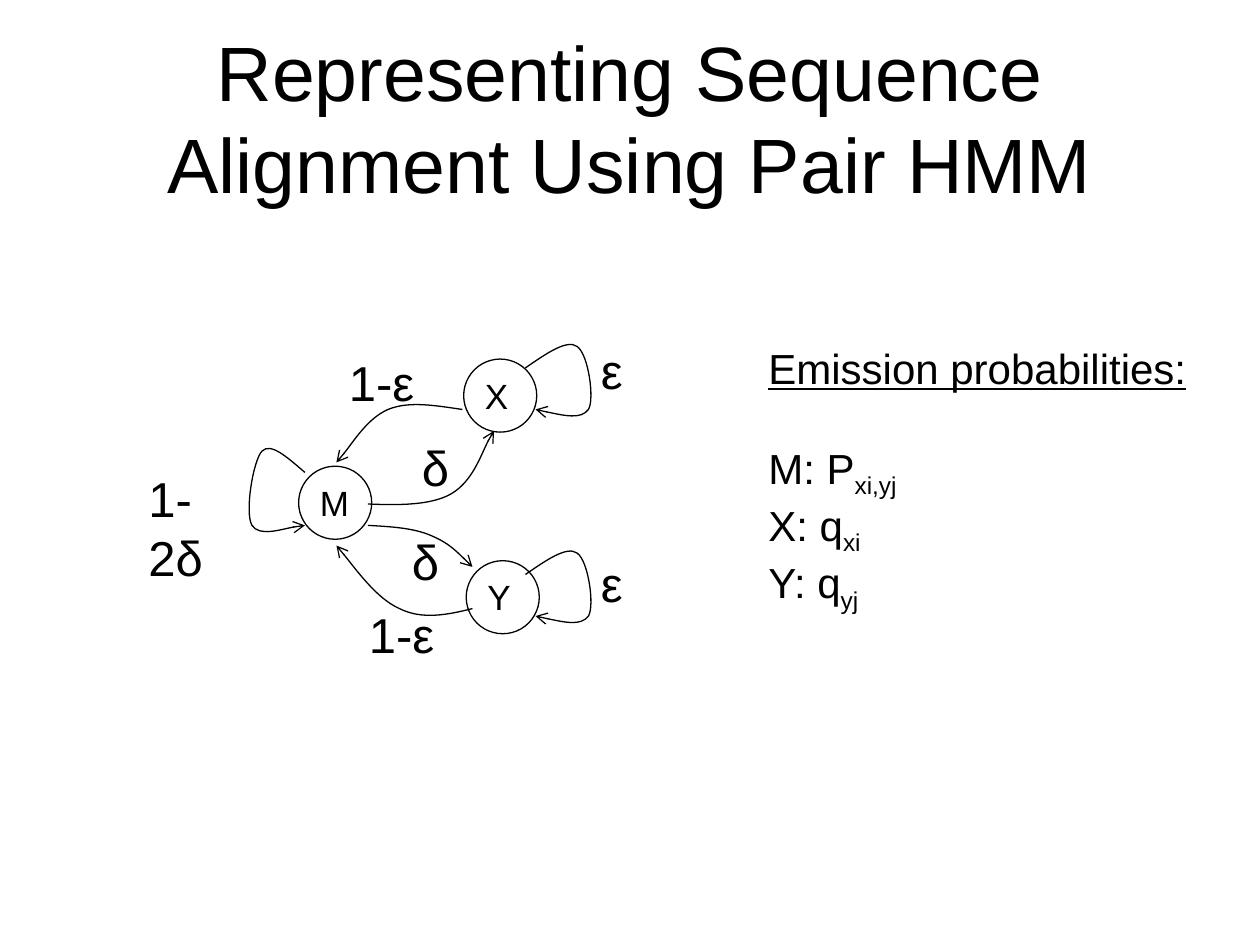
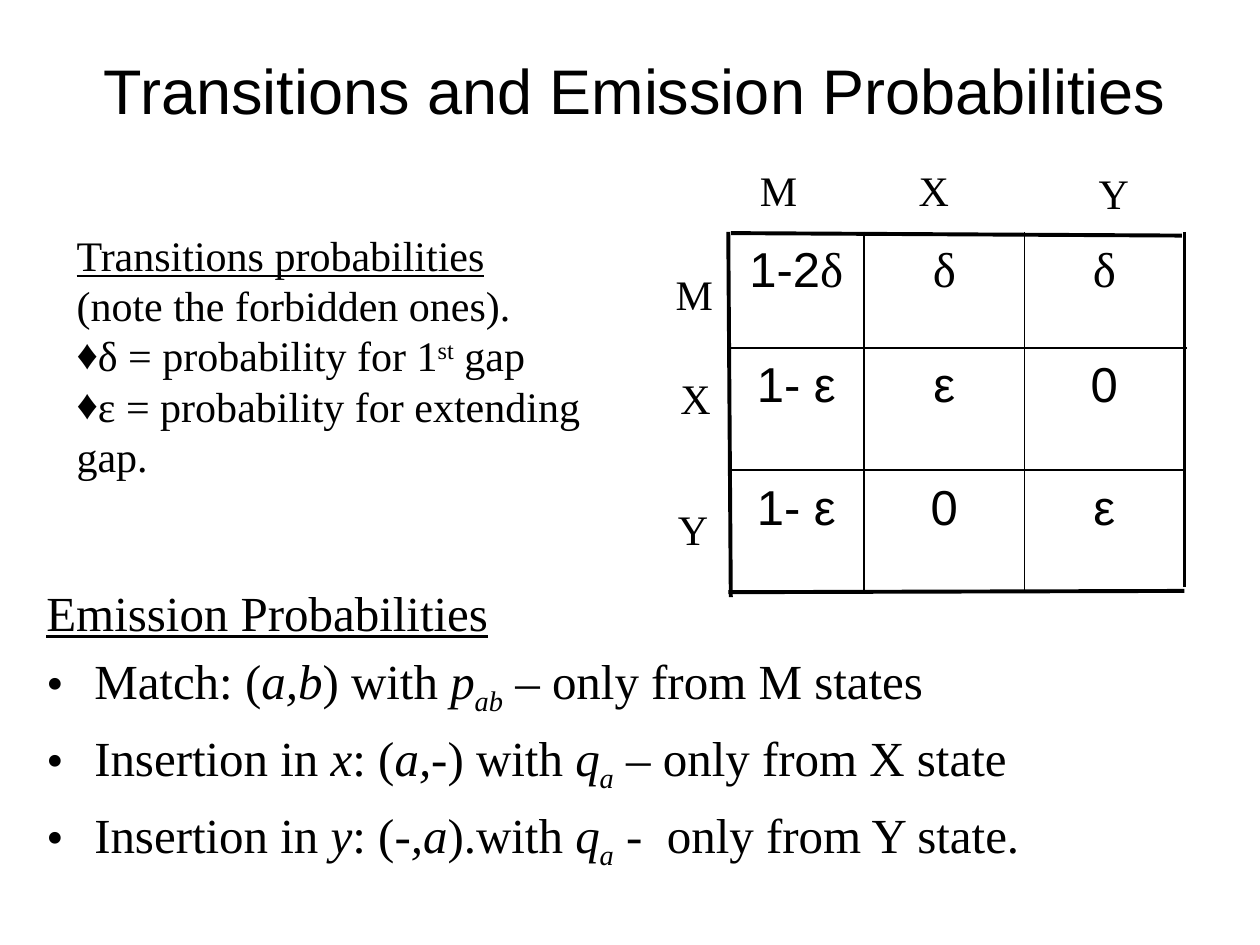
from dataclasses import dataclass
from typing import NamedTuple

from lxml.etree import SubElement
from pptx import Presentation
from pptx.dml.color import RGBColor
from pptx.enum.shapes import MSO_CONNECTOR, MSO_SHAPE
from pptx.enum.text import MSO_ANCHOR, MSO_AUTO_SIZE, PP_ALIGN
from pptx.oxml import parse_xml
from pptx.oxml.ns import nsdecls, qn
from pptx.util import Inches, Pt


@dataclass(frozen=True)
class Theme:
    ink: RGBColor = RGBColor(0, 0, 0)
    sans: str = "Arial"
    serif: str = "Times New Roman"
    title: int = 44
    small_title: int = 36
    large: int = 28
    medium: int = 24
    state: int = 20
    gap: float = 5.6
    thin: float = 0.75
    inner: float = 1
    side: float = 2
    outer: float = 2.25


THEME = Theme()


class Place(NamedTuple):
    left: float
    top: float
    width: float
    height: float


class Span(NamedTuple):
    text: str
    italic: bool = False
    baseline: int = 0
    font: str = ""


class Para(NamedTuple):
    spans: list[Span]
    underline: bool = False
    bullet: str = ""
    hanging: float = 0
    before: float = 0


class State(NamedTuple):
    name: str
    left: float
    top: float
    name_width: float


class Label(NamedTuple):
    text: str
    place: Place
    wrap: bool = False


class Rule(NamedTuple):
    start: tuple[float, float]
    end: tuple[float, float]
    width: float


Points = list[tuple[float, float]]


# Text
def write_para(paragraph, para: Para, size: int, font: str, align=PP_ALIGN.LEFT) -> None:
    paragraph.alignment = align
    paragraph.space_before = Pt(para.before)
    face = paragraph.font
    face.size, face.name, face.color.rgb = Pt(size), font, THEME.ink
    face.underline = para.underline
    for span in para.spans:
        run = paragraph.add_run()
        run.text = span.text
        if span.italic:
            run.font.italic = True
        if span.font:
            run.font.name = span.font
        if span.baseline:
            run.font._element.set("baseline", str(span.baseline * 1000))
    properties = paragraph._p.get_or_add_pPr()
    indent = Inches(para.hanging)
    properties.set("marL", str(indent))
    properties.set("indent", str(-indent))
    if para.bullet:
        defaults = properties.find(qn("a:defRPr"))
        for mark in (f'buFont {nsdecls("a")} typeface="{font}"',
                     f'buChar {nsdecls("a")} char="{para.bullet}"'):
            defaults.addprevious(parse_xml(f"<a:{mark}/>"))


def add_text(page, place: Place, paras: list[Para], size: int, font: str,
             align=PP_ALIGN.LEFT, wrap: bool = True, anchor=MSO_ANCHOR.TOP) -> None:
    box = page.shapes.add_textbox(*map(Inches, place))
    frame = box.text_frame
    frame.word_wrap = wrap
    frame.auto_size = MSO_AUTO_SIZE.NONE if wrap else MSO_AUTO_SIZE.SHAPE_TO_FIT_TEXT
    frame.vertical_anchor = anchor
    for index, para in enumerate(paras):
        paragraph = frame.add_paragraph() if index else frame.paragraphs[0]
        write_para(paragraph, para, size, font, align)


def add_title(page, place: Place, text: str, size: int) -> None:
    add_text(page, place, [Para([Span(text)])], size, THEME.sans,
             PP_ALIGN.CENTER, anchor=MSO_ANCHOR.MIDDLE)


# State diagram
def style_outline(shape) -> None:
    shape.shadow.inherit = False
    shape.fill.background()
    shape.line.color.rgb = THEME.ink
    shape.line.width = Pt(THEME.thin)


def add_state(page, state: State) -> None:
    place = Place(state.left, state.top, 0.58, 0.58)
    style_outline(page.shapes.add_shape(MSO_SHAPE.OVAL, *map(Inches, place)))
    name_place = Place(state.left + 0.07, state.top + 0.07, state.name_width, 0.43)
    add_text(page, name_place, [Para([Span(state.name)])], THEME.state, THEME.sans, wrap=False)


def add_curved_arrow(page, points: Points) -> None:
    """Draw cubic curves: a start, then two handles and an end for each curve."""
    start, *rest = [(Inches(x), Inches(y)) for x, y in points]
    builder = page.shapes.build_freeform(*start)
    builder.add_line_segments(rest, close=False)
    arrow = builder.convert_to_shape()
    style_outline(arrow)
    outline = next(arrow.element.iter(qn("a:path")))
    segments = outline.findall(qn("a:lnTo"))
    for first in range(0, len(segments), 3):
        curve = SubElement(outline, qn("a:cubicBezTo"))
        for segment in segments[first:first + 3]:
            curve.append(segment[0])
            outline.remove(segment)
    line = arrow.element.spPr.find(qn("a:ln"))
    SubElement(line, qn("a:tailEnd"), type="arrow")


def shift_down(points: Points, distance: float) -> Points:
    return [(x, y + distance) for x, y in points]


# Transition matrix
def add_rule(page, rule: Rule) -> None:
    line = page.shapes.add_connector(MSO_CONNECTOR.STRAIGHT,
                                     *map(Inches, rule.start + rule.end))
    line.line.color.rgb = THEME.ink
    line.line.width = Pt(rule.width)
    SubElement(line.element.spPr, qn("a:effectLst"))


def add_matrix(page, values: list[list[list[Span]]]) -> None:
    x_edges = [5.78, 6.86, 8.13, 9.4]
    y_edges = [1.84, 2.76, 3.73, 4.7]
    for row, top, bottom in zip(values, y_edges, y_edges[1:]):
        for spans, left, right in zip(row, x_edges, x_edges[1:]):
            add_text(page, Place(left, top, right - left, bottom - top),
                     [Para(spans, before=THEME.gap)], THEME.large, THEME.sans,
                     PP_ALIGN.CENTER)
    for rule in (
        Rule((5.8, 1.85), (9.38, 1.87), THEME.outer),
        Rule((5.78, 2.76), (9.42, 2.76), THEME.inner),
        Rule((5.78, 3.73), (9.4, 3.73), THEME.inner),
        Rule((5.78, 4.7), (9.4, 4.69), THEME.outer),
        Rule((5.78, 1.84), (5.8, 4.74), THEME.outer),
        Rule((6.86, 1.84), (6.86, 4.71), THEME.inner),
        Rule((8.13, 1.84), (8.13, 4.69), THEME.inner),
        Rule((9.4, 1.84), (9.4, 4.66), THEME.side),
    ):
        add_rule(page, rule)


def build_hmm_slide(page) -> None:
    add_title(page, Place(0.5, 0.3, 9, 1.25),
              "Representing Sequence Alignment Using Pair HMM", THEME.title)

    for state in (State("M", 2.37, 3.7, 0.43), State("X", 3.68, 2.85, 0.39),
                  State("Y", 3.7, 4.45, 0.39)):
        add_state(page, state)

    # Transitions
    x_loop = [(4.17, 2.92), (4.33, 2.81), (4.5, 2.69), (4.58, 2.75), (4.67, 2.81),
              (4.72, 3.17), (4.67, 3.25), (4.61, 3.33), (4.43, 3.29), (4.25, 3.25)]
    m_loop = [(2.42, 3.75), (2.28, 3.63), (2.15, 3.51), (2.08, 3.58), (2.01, 3.65),
              (1.94, 4.07), (2, 4.17), (2.06, 4.26), (2.35, 4.17), (2.42, 4.17)]
    m_to_x = [(2.92, 4), (3.17, 4.01), (3.42, 4.01), (3.58, 3.92),
              (3.75, 3.82), (3.86, 3.5), (3.92, 3.42)]
    x_to_m = [(3.67, 3.25), (3.46, 3.22), (3.25, 3.18), (3.08, 3.25),
              (2.92, 3.32), (2.74, 3.6), (2.67, 3.67)]
    m_to_y = [(2.92, 4.17), (3.1, 4.18), (3.28, 4.19), (3.42, 4.25),
              (3.56, 4.31), (3.65, 4.4), (3.75, 4.5)]
    y_to_m = [(3.75, 4.83), (3.55, 4.88), (3.35, 4.92), (3.17, 4.83),
              (2.99, 4.75), (2.75, 4.42), (2.67, 4.33)]
    y_loop = shift_down(x_loop, 1.64)
    for points in (x_loop, y_loop, m_loop, m_to_x, x_to_m, m_to_y, y_to_m):
        add_curved_arrow(page, points)

    # Transition probabilities
    labels = [
        Label("ε", Place(4.67, 2.65, 0.37, 0.57)),
        Label("ε", Place(4.67, 4.34, 0.37, 0.57)),
        Label("δ", Place(3.25, 3.42, 0.39, 0.57)),
        Label("δ", Place(3.17, 4.17, 0.39, 0.57)),
        Label("1-ε", Place(2.67, 2.75, 0.72, 0.57)),
        Label("1-ε", Place(2.83, 4.75, 0.72, 0.57)),
        Label("1-2δ", Place(1.08, 3.67, 0.96, 0.57), wrap=True),
    ]
    for label in labels:
        add_text(page, label.place, [Para([Span(label.text)])], THEME.large, THEME.sans,
                 wrap=label.wrap)

    # Emission probabilities
    emissions = [("M: P", "xi,yj", 28), ("X: q", "xi", 0), ("Y: q", "yj", 0)]
    paras = [Para([Span("Emission probabilities:")], underline=True)]
    paras += [Para([Span(name), Span(index, baseline=-25)], before=gap)
              for name, index, gap in emissions]
    add_text(page, Place(6, 2.67, 3.56, 2.12), paras, THEME.medium, THEME.sans, wrap=False)


def build_probability_slide(page) -> None:
    add_title(page, Place(0.25, 0.08, 9.58, 1.25),
              "Transitions and Emission Probabilities", THEME.small_title)

    # Matrix with its column and row names
    delta = Span("δ", font=THEME.serif)
    epsilon, zero, leave_gap = Span("ε"), Span("0"), Span("1- ε")
    add_matrix(page, [
        [[Span("1-2"), delta], [delta], [delta]],
        [[leave_gap], [epsilon], [zero]],
        [[leave_gap], [zero], [epsilon]],
    ])
    headings = [
        Label("M", Place(5.93, 1.26, 0.5, 0.5)),
        Label("X", Place(7.19, 1.26, 0.44, 0.5)),
        Label("Y", Place(8.62, 1.28, 0.44, 0.5)),
        Label("M", Place(5.26, 2.08, 0.5, 0.5)),
        Label("X", Place(5.3, 2.91, 0.44, 0.5)),
        Label("Y", Place(5.28, 3.95, 0.44, 0.5)),
    ]
    for heading in headings:
        add_text(page, heading.place, [Para([Span(heading.text)])], THEME.medium,
                 THEME.serif, PP_ALIGN.CENTER, wrap=False)

    # Emissions
    emissions = [
        ("Match: (", "a,b", ") with ", "p", "ab", " – ", "only from M states"),
        ("Insertion in ", "x", ": (", "a,-", ") with ", "q", "a", " – ", "only from X state"),
        ("Insertion in ", "y", ": (", "-,a", ").with ", "q", "a", " - ", " only from Y state."),
    ]
    paras = [Para([Span("Emission Probabilities")], underline=True, hanging=0.38,
                  before=THEME.gap)]
    for *lead, symbol, index, dash, source in emissions:
        spans = [Span(text, italic=position % 2 == 1) for position, text in enumerate(lead)]
        spans += [Span(symbol, italic=True), Span(index, italic=True, baseline=-25),
                  Span(dash, italic=True), Span(source)]
        paras.append(Para(spans, bullet="•", hanging=0.38, before=THEME.gap))
    add_text(page, Place(0.27, 4.57, 9.56, 2.65), paras, THEME.large, THEME.serif)

    # Transitions
    add_text(page, Place(0.51, 1.77, 4.56, 2.1), [
        Para([Span("Transitions probabilities")], underline=True),
        Para([Span("(note the forbidden ones).")]),
        Para([Span("δ = probability for 1"), Span("st", baseline=30), Span(" gap")], bullet="♦"),
        Para([Span("ε = probability for extending gap.")], bullet="♦"),
    ], THEME.medium, THEME.serif)


def main() -> None:
    deck = Presentation()
    deck.slide_width, deck.slide_height = Inches(10), Inches(7.5)
    blank = deck.slide_layouts[6]
    for build in (build_hmm_slide, build_probability_slide):
        build(deck.slides.add_slide(blank))
    deck.save("out.pptx")


if __name__ == "__main__":
    main()
